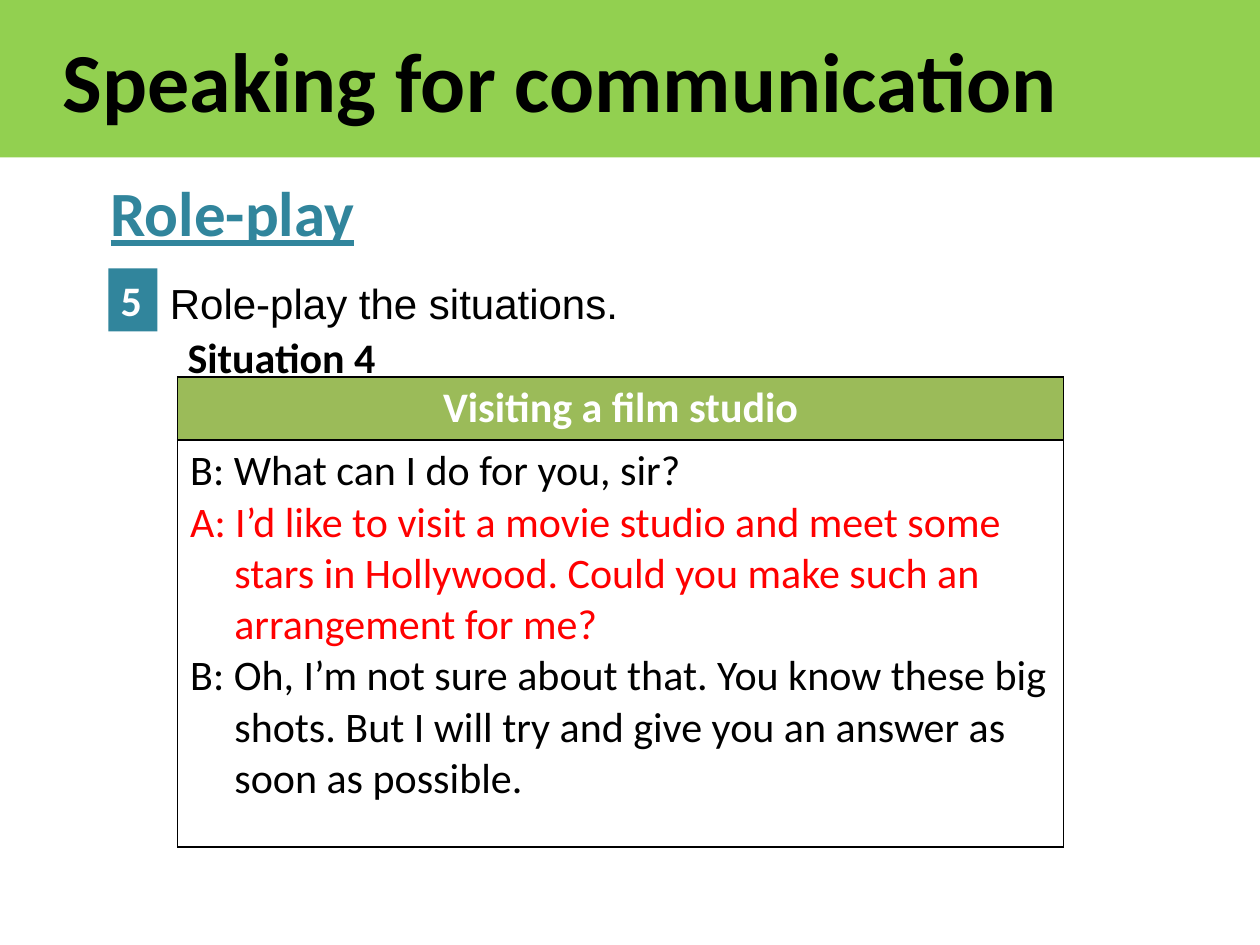
from lxml import etree
from pptx import Presentation
from pptx.dml.color import RGBColor
from pptx.enum.shapes import MSO_SHAPE as Shape
from pptx.enum.text import MSO_ANCHOR as Anchor, PP_ALIGN as Align
from pptx.oxml.ns import qn
from pptx.util import Inches, Pt

BLACK = RGBColor(0x00, 0x00, 0x00)
WHITE = RGBColor(0xFF, 0xFF, 0xFF)
RED = RGBColor(0xFF, 0x00, 0x00)
LIME = RGBColor(0x92, 0xD0, 0x50)
OLIVE = RGBColor(0x9B, 0xBB, 0x59)
TEAL = RGBColor(0x31, 0x85, 0x9C)
AQUA = RGBColor(0x4B, 0xAC, 0xC6)

DIALOGUE = [
    ("B: What can I do for you, sir?", BLACK),
    ("A: I’d like to visit a movie studio and meet some stars in Hollywood. "
     "Could you make such an arrangement for me?", RED),
    ("B: Oh, I’m not sure about that. You know these big shots. But I will "
     "try and give you an answer as soon as possible.", BLACK),
]


def write(para, text, color, size=24, bold=False, name="Calibri", align=Align.LEFT):
    para.text = text
    para.alignment = align
    font = para.font
    font.name, font.size, font.bold = name, Pt(size), bold
    font.color.rgb = color
    return para


def indent(para, left, first):
    props = para._p.get_or_add_pPr()
    props.set("marL", str(Inches(left)))
    props.set("indent", str(Inches(first)))


def add_line(parent, tag, color, width):
    line = etree.SubElement(parent, qn(tag), w=str(Pt(width)))
    fill = etree.SubElement(line, qn("a:solidFill"))
    etree.SubElement(fill, qn("a:srgbClr"), val=str(color))
    return line


def add_block(page, left, top, width, height, color):
    block = page.shapes.add_shape(
        Shape.RECTANGLE, Inches(left), Inches(top), Inches(width), Inches(height))
    block.shadow.inherit = False
    block.fill.solid()
    block.fill.fore_color.rgb = color
    block.line.fill.background()
    return block


def add_text(page, left, top, width, height, text, color, wrap=True, **style):
    box = page.shapes.add_textbox(
        Inches(left), Inches(top), Inches(width), Inches(height))
    box.text_frame.word_wrap = wrap
    return write(box.text_frame.paragraphs[0], text, color, **style)


def style_cell(cell, color):
    props = cell._tc.get_or_add_tcPr()
    for tag in ("a:lnL", "a:lnR", "a:lnT", "a:lnB"):
        add_line(props, tag, BLACK, 1)
    cell.fill.solid()
    cell.fill.fore_color.rgb = color


def add_dialogue(page):
    frame = page.shapes.add_table(
        2, 1, Inches(1.41), Inches(2.99), Inches(7.03), Inches(3.73))
    table = frame.table
    table.rows[0].height = Inches(0.5)
    table.rows[1].height = Inches(3.23)
    header, body = table.cell(0, 0), table.cell(1, 0)
    style_cell(header, OLIVE)
    style_cell(body, WHITE)
    write(header.text_frame.paragraphs[0], "Visiting a film studio", WHITE,
          bold=True, align=Align.CENTER)
    for number, (speech, color) in enumerate(DIALOGUE):
        frame = body.text_frame
        para = frame.add_paragraph() if number else frame.paragraphs[0]
        indent(write(para, speech, color), 0.35, -0.35)


def main():
    deck = Presentation()
    deck.slide_width, deck.slide_height = Inches(10), Inches(7.5)
    page = deck.slides.add_slide(deck.slide_layouts[6])

    # Title band
    band = add_block(page, 0, 0, 10, 1.25, LIME)
    band.text_frame.vertical_anchor = Anchor.MIDDLE
    title = write(band.text_frame.paragraphs[0], "Speaking for communication",
                  BLACK, size=48, bold=True)
    indent(title, 0, 0.4)

    # Section heading with outlined letters
    heading = add_text(page, 0.78, 1.33, 2.16, 0.71, "Role-play", TEAL,
                       wrap=False, size=36, bold=True)
    heading.font.underline = True
    letters = heading.runs[0].font._element
    add_line(letters, "a:ln", AQUA, 0.75)

    # Numbered task
    badge = add_block(page, 0.86, 2.13, 0.39, 0.5, TEAL)
    badge.text_frame.vertical_anchor = Anchor.TOP
    write(badge.text_frame.paragraphs[0], "5", WHITE, bold=True)
    add_text(page, 1.25, 2.15, 7.34, 0.5, "Role-play the situations.", BLACK,
             name="Arial")

    # Situation and its dialogue
    add_text(page, 1.39, 2.58, 7.2, 0.5, "Situation 4", BLACK, bold=True)
    add_dialogue(page)

    deck.save("out.pptx")


main()
